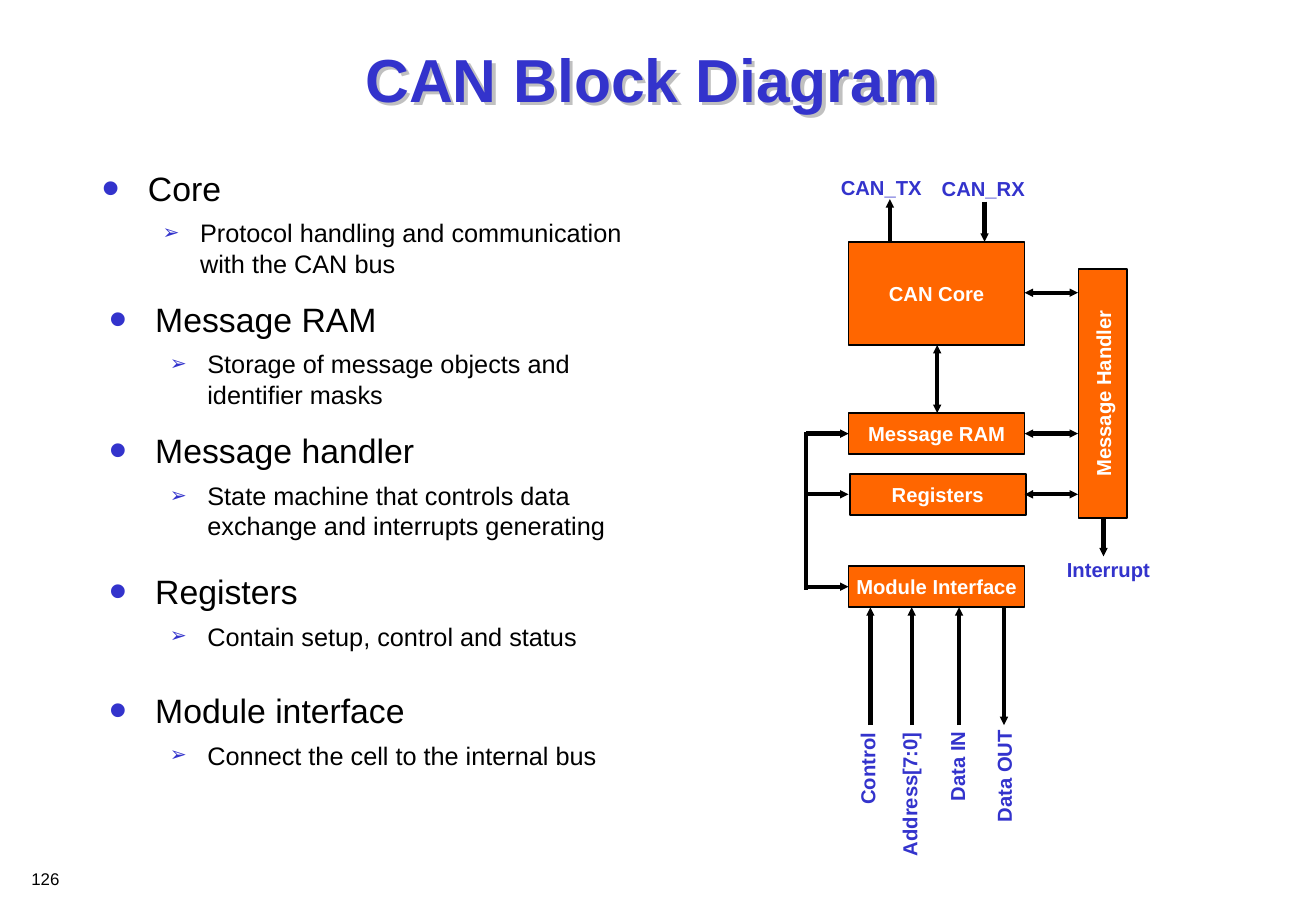
"""Build the CAN block diagram slide."""
from dataclasses import dataclass
from typing import Optional

import lxml.etree
import pptx
import pptx.dml.color
import pptx.enum.shapes
import pptx.enum.text
import pptx.oxml
import pptx.oxml.ns
import pptx.util

Inches = pptx.util.Inches
MIDDLE = pptx.enum.text.MSO_ANCHOR.MIDDLE
CENTER = pptx.enum.text.PP_ALIGN.CENTER


@dataclass(frozen=True)
class Theme:
    font: str = "Arial"
    accent: str = "3333CC"
    block: str = "FF6600"
    shadow: str = "C0C0C0"
    ink: str = "000000"
    paper: str = "FFFFFF"
    title_size: float = 36
    topic_size: float = 20
    detail_size: float = 15
    label_size: float = 12
    number_size: float = 10
    outline: float = 1
    arrow: float = 2.5


@dataclass(frozen=True)
class Bullet:
    character: str
    percent: int
    margin: float
    indent: float


@dataclass(frozen=True)
class Topic:
    heading: str
    detail: str
    left: float
    top: float
    width: float
    height: float


@dataclass(frozen=True)
class Block:
    text: str
    left: float
    top: float
    width: float
    height: float
    rotation: int = 0


@dataclass(frozen=True)
class Joint:
    block: str
    site: int


@dataclass(frozen=True)
class Arrow:
    start: tuple[float, float]
    end: tuple[float, float]
    head: bool = False
    tail: bool = True
    begin: Optional[Joint] = None
    finish: Optional[Joint] = None


THEME = Theme()
TOPIC_BULLET = Bullet("•", 150, 0.38, -0.38)
DETAIL_BULLET = Bullet("➢", 80, 0.81, -0.31)

TOPICS = [
    Topic("Core", "Protocol handling and communication with the CAN bus", 0.74, 1.33, 4.55, 1.08),
    Topic("Message RAM", "Storage of message objects and identifier masks", 0.8, 2.41, 4.52, 1.03),
    Topic("Message handler", "State machine that controls data exchange and interrupts generating",
          0.8, 3.49, 4.52, 1.08),
    Topic("Registers", "Contain setup, control and status", 0.8, 4.65, 4.52, 0.85),
    Topic("Module interface", "Connect the cell to the internal bus", 0.8, 5.63, 4.52, 0.84),
]
BLOCKS = [
    Block("CAN Core", 6.99, 1.99, 1.45, 0.85),
    Block("Message RAM", 6.99, 3.4, 1.45, 0.34),
    Block("Message Handler", 8.06, 3.04, 2.05, 0.4, 270),
    Block("Registers", 7, 3.9, 1.45, 0.34),
    Block("Module Interface", 6.99, 4.66, 1.45, 0.34),
]
LABELS = [
    Block("CAN_TX", 6.83, 1.39, 0.86, 0.3),
    Block("CAN_RX", 7.66, 1.4, 0.88, 0.3),
    Block("Interrupt", 8.69, 4.54, 0.88, 0.3),
    Block("Control", 6.75, 6.18, 0.79, 0.3, 270),
    Block("Address[7:0]", 6.88, 6.39, 1.22, 0.3, 270),
    Block("Data IN", 7.5, 6.16, 0.77, 0.3, 270),
    Block("Data OUT", 7.79, 6.24, 0.96, 0.3, 270),
]
BUS_X, LEFT_X, RIGHT_X, HANDLER_X = 6.64, 6.99, 8.44, 8.88
ARROWS = [
    Arrow((7.33, 2), (7.33, 1.64)),
    Arrow((8.11, 1.66), (8.11, 1.99)),
    Arrow((7.72, 3.4), (7.72, 2.84), head=True,
          begin=Joint("Message RAM", 0), finish=Joint("CAN Core", 2)),
    Arrow((9.09, 4.27), (9.09, 4.58), begin=Joint("Message Handler", 1)),
    Arrow((BUS_X, 3.56), (BUS_X, 4.86), tail=False),
    *[Arrow((BUS_X, y), (LEFT_X, y), finish=Joint(name, 1))
      for name, y in [("Message RAM", 3.57), ("Registers", 4.07), ("Module Interface", 4.83)]],
    *[Arrow((RIGHT_X, y), (HANDLER_X, y), head=True, begin=Joint(name, 3))
      for name, y in [("CAN Core", 2.41), ("Message RAM", 3.57), ("Registers", 4.07)]],
    *[Arrow((x, 5.97), (x, 5)) for x in (7.17, 7.51, 7.9)],
    Arrow((8.27, 5), (8.27, 5.97)),
]


def color(value: str) -> pptx.dml.color.RGBColor:
    """Turn a hex string into a colour."""
    return pptx.dml.color.RGBColor.from_string(value)


def add_element(parent, tag: str, **attributes: str):
    """Append a drawing element and return it."""
    return lxml.etree.SubElement(parent, pptx.oxml.ns.qn(tag), attributes)


def add_run(paragraph, text: str, size: float, tint: str, bold: bool = False) -> None:
    """Append one formatted run."""
    run = paragraph.add_run()
    run.text = text
    run.font.size = pptx.util.Pt(size)
    run.font.bold = bold
    run.font.color.rgb = color(tint)
    run.font.name = THEME.font


def add_text_box(slide, left: float, top: float, width: float, height: float):
    """Add an empty wrapping text box."""
    box = slide.shapes.add_textbox(Inches(left), Inches(top), Inches(width), Inches(height))
    box.text_frame.word_wrap = True
    return box


def add_title(slide, text: str) -> None:
    """Draw the centred title with its soft shadow."""
    box = add_text_box(slide, 0.72, 0.1, 9.3, 1.08)
    effects = add_element(box._element.spPr, "a:effectLst")
    outer = add_element(effects, "a:outerShdw", dist="35921", dir="2700000", algn="ctr", rotWithShape="0")
    add_element(outer, "a:srgbClr", val=THEME.shadow)
    box.text_frame.vertical_anchor = MIDDLE
    paragraph = box.text_frame.paragraphs[0]
    paragraph.alignment = CENTER
    add_run(paragraph, text, THEME.title_size, THEME.accent, bold=True)


def set_bullet(paragraph, bullet: Bullet) -> None:
    """Give a paragraph its hanging bullet."""
    properties = paragraph._p.get_or_add_pPr()
    properties.set("marL", str(Inches(bullet.margin)))
    properties.set("indent", str(Inches(bullet.indent)))
    add_element(add_element(properties, "a:buClr"), "a:srgbClr", val=THEME.accent)
    add_element(properties, "a:buSzPct", val=str(bullet.percent * 1000))
    add_element(properties, "a:buFont", typeface=THEME.font)
    add_element(properties, "a:buChar", char=bullet.character)


def add_topic(slide, topic: Topic) -> None:
    """Draw a heading with its detail line."""
    frame = add_text_box(slide, topic.left, topic.top, topic.width, topic.height).text_frame
    heading, detail = frame.paragraphs[0], frame.add_paragraph()
    set_bullet(heading, TOPIC_BULLET)
    heading.space_after = pptx.util.Pt(3.7)
    add_run(heading, topic.heading, THEME.topic_size, THEME.ink)
    set_bullet(detail, DETAIL_BULLET)
    detail.level = 1
    detail.space_before = pptx.util.Pt(1.9)
    add_run(detail, topic.detail, THEME.detail_size, THEME.ink)


def add_caption(shape, block: Block, tint: str) -> None:
    """Centre a bold one-line caption in a shape and rotate it."""
    shape.rotation = block.rotation
    frame = shape.text_frame
    frame.word_wrap = False
    frame.margin_left = frame.margin_right = 0
    paragraph = frame.paragraphs[0]
    paragraph.alignment = CENTER
    add_run(paragraph, block.text, THEME.label_size, tint, bold=True)


def add_block(slide, block: Block):
    """Draw one block of the diagram."""
    shape = slide.shapes.add_shape(
        pptx.enum.shapes.MSO_SHAPE.RECTANGLE,
        Inches(block.left), Inches(block.top), Inches(block.width), Inches(block.height))
    shape.shadow.inherit = False
    shape.fill.solid()
    shape.fill.fore_color.rgb = color(THEME.block)
    shape.line.color.rgb = color(THEME.ink)
    shape.line.width = pptx.util.Pt(THEME.outline)
    shape.text_frame.vertical_anchor = MIDDLE
    add_caption(shape, block, THEME.paper)
    return shape


def add_arrow(slide, arrow: Arrow, shapes: dict) -> None:
    """Draw one connector, joined to its blocks."""
    (x1, y1), (x2, y2) = arrow.start, arrow.end
    connector = slide.shapes.add_connector(
        pptx.enum.shapes.MSO_CONNECTOR.STRAIGHT, Inches(x1), Inches(y1), Inches(x2), Inches(y2))
    if arrow.begin:
        connector.begin_connect(shapes[arrow.begin.block], arrow.begin.site)
    if arrow.finish:
        connector.end_connect(shapes[arrow.finish.block], arrow.finish.site)
    connector.begin_x, connector.begin_y = Inches(x1), Inches(y1)
    connector.end_x, connector.end_y = Inches(x2), Inches(y2)
    connector.line.color.rgb = color(THEME.ink)
    connector.line.width = pptx.util.Pt(THEME.arrow)
    line = connector.line._get_or_add_ln()
    for shown, tag in ((arrow.head, "a:headEnd"), (arrow.tail, "a:tailEnd")):
        if shown:
            add_element(line, tag, type="triangle", w="sm", len="sm")
    add_element(connector._element.spPr, "a:effectLst")


def main() -> None:
    """Build and save the slide."""
    presentation = pptx.Presentation()
    presentation.slide_width, presentation.slide_height = Inches(10.84), Inches(7.5)
    slide = presentation.slides.add_slide(presentation.slide_layouts[6])

    add_title(slide, "CAN Block Diagram")
    for topic in TOPICS:
        add_topic(slide, topic)
    shapes = {block.text: add_block(slide, block) for block in BLOCKS}
    for arrow in ARROWS:
        add_arrow(slide, arrow, shapes)
    for label in LABELS:
        add_caption(add_text_box(slide, label.left, label.top, label.width, label.height), label, THEME.accent)
    number = add_text_box(slide, 0.16, 7.1, 0.52, 0.27).text_frame
    add_run(number.paragraphs[0], "126", THEME.number_size, THEME.ink)
    presentation.save("out.pptx")


if __name__ == "__main__":
    main()
